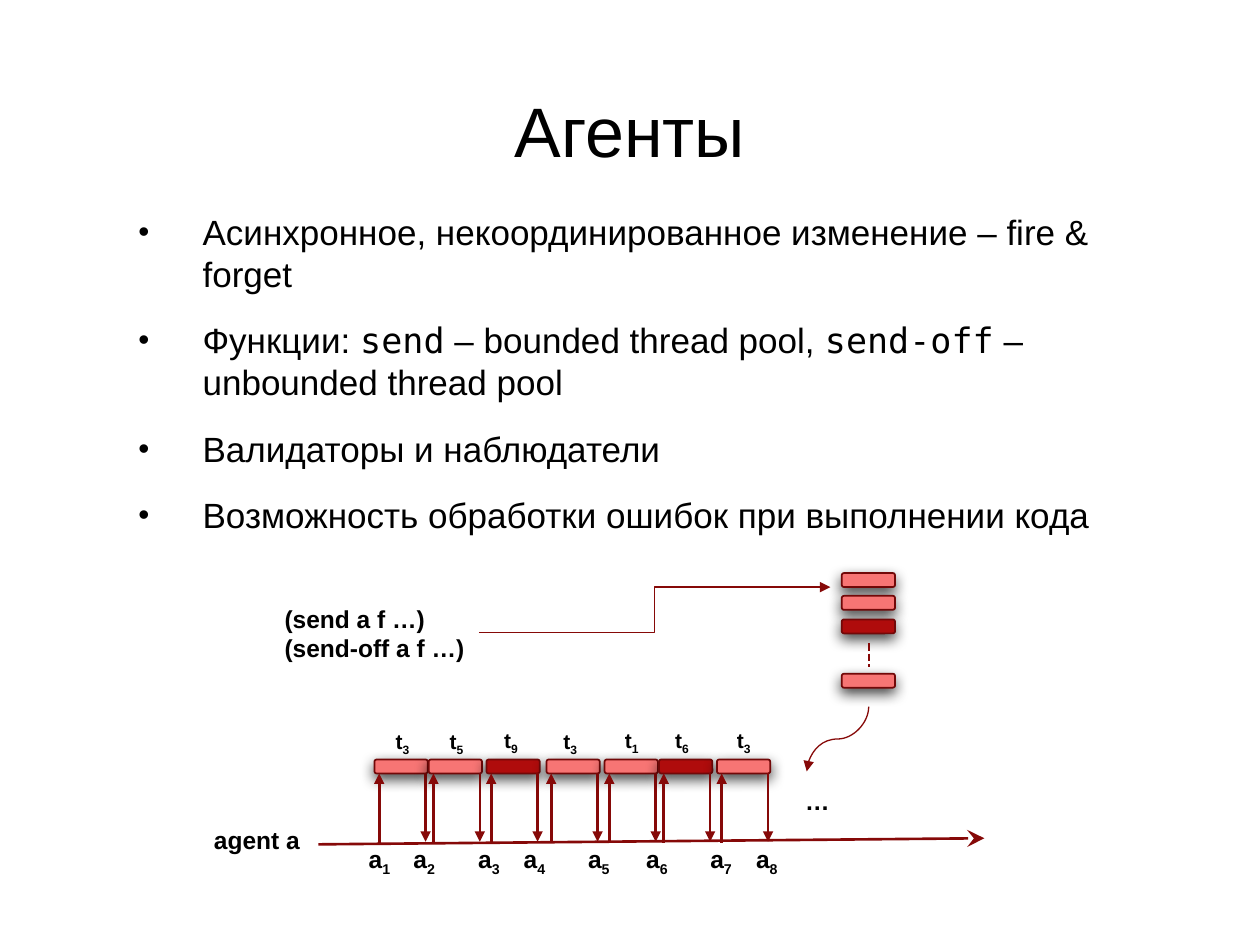
"""Build the slide on agents: bullets above a diagram of a queue and a timeline."""
from typing import NamedTuple

from lxml import etree
from pptx import Presentation
from pptx.dml.color import RGBColor
from pptx.enum.dml import MSO_LINE
from pptx.enum.shapes import MSO_CONNECTOR, MSO_SHAPE
from pptx.enum.text import MSO_ANCHOR, MSO_AUTO_SIZE, PP_ALIGN
from pptx.oxml.ns import qn
from pptx.util import Pt

BLACK = RGBColor(0x00, 0x00, 0x00)
PINK = RGBColor(0xF7, 0x75, 0x74)
RED = RGBColor(0xAF, 0x0C, 0x0C)
EDGE = RGBColor(0x72, 0x08, 0x08)
ARROW = RGBColor(0x86, 0x09, 0x08)
STRAIGHT, ELBOW, CURVE = MSO_CONNECTOR.STRAIGHT, MSO_CONNECTOR.ELBOW, MSO_CONNECTOR.CURVE
ROUNDED = MSO_SHAPE.ROUNDED_RECTANGLE
DASH = MSO_LINE.SQUARE_DOT
TOP, MIDDLE = MSO_ANCHOR.TOP, MSO_ANCHOR.MIDDLE
CENTER = PP_ALIGN.CENTER
GROW = MSO_AUTO_SIZE.SHAPE_TO_FIT_TEXT
SANS, MONO = "Arial", "DejaVu Sans Mono"
CHIP_W, CHIP_H = 30.5, 8
TASK_Y = 434


class Task(NamedTuple):
    x: float
    color: RGBColor
    thread: str
    label_x: float
    label_y: float


class State(NamedTuple):
    number: str
    x: float


class Chip(NamedTuple):
    y: float
    color: RGBColor


TASKS = [
    Task(214, PINK, "3", 219, 412.5),
    Task(245, PINK, "5", 249.8, 412.5),
    Task(278, RED, "9", 281, 412),
    Task(312.3, PINK, "3", 314.8, 412.5),
    Task(345.5, PINK, "1", 350, 412),
    Task(376.6, RED, "6", 378.7, 412),
    Task(409.7, PINK, "3", 414, 412),
]
STATES = [
    State("1", 203.6), State("2", 229.2), State("3", 266.2), State("4", 292.2),
    State("5", 329), State("6", 362.2), State("7", 398.8), State("8", 425),
]
QUEUE = [Chip(327.5, PINK), Chip(340.5, PINK), Chip(354, RED), Chip(385, PINK)]
BULLETS = [
    [("Асинхронное, некоординированное изменение – fire & forget", SANS)],
    [("Функции: ", SANS), ("send", MONO), (" – bounded thread pool, ", SANS),
     ("send-off", MONO), (" – unbounded thread pool", SANS)],
    [("Валидаторы и наблюдатели", SANS)],
    [("Возможность обработки ошибок при выполнении кода", SANS)],
]


def style_run(r, size: float, font: str = SANS, bold: bool = False) -> None:
    """Set the font of a run."""
    r.font.name, r.font.size, r.font.bold = font, Pt(size), bold
    r.font.color.rgb = BLACK


def add_box(s, x: float, y: float, w: float, h: float, anchor=TOP):
    """Add a wrapping text box and return its text frame."""
    tf = s.shapes.add_textbox(Pt(x), Pt(y), Pt(w), Pt(h)).text_frame
    tf.word_wrap, tf.vertical_anchor = True, anchor
    return tf


def add_label(s, text: str, x: float, y: float, w: float, h: float,
              size: float = 14, sub: str = "") -> None:
    """Add a bold label with an optional subscript."""
    tf = add_box(s, x, y, w, h)
    tf.word_wrap, tf.auto_size = False, GROW
    tf.text = text
    if sub:
        r = tf.paragraphs[0].add_run()
        r.text = sub
        r.font._element.set("baseline", "-25000")
    for p in tf.paragraphs:
        for r in p.runs:
            style_run(r, size, bold=True)


def add_bullets(s) -> None:
    """Add the bulleted list."""
    tf = add_box(s, 72, 116.6, 576, 200)
    for i, parts in enumerate(BULLETS):
        p = tf.paragraphs[0] if i == 0 else tf.add_paragraph()
        p.space_before = Pt(14)
        pPr = p._p.get_or_add_pPr()
        pPr.set("marL", str(Pt(36.7)))
        pPr.set("indent", str(-Pt(36.7)))
        etree.SubElement(pPr, qn("a:buSzPct"), val="90000")
        etree.SubElement(pPr, qn("a:buFont"), typeface=SANS)
        etree.SubElement(pPr, qn("a:buChar"), char="•")
        for text, font in parts:
            r = p.add_run()
            r.text = text
            style_run(r, 20, font)


def add_chip(s, x: float, y: float, color: RGBColor) -> None:
    """Add a rounded bar with a soft shadow below it."""
    sp = s.shapes.add_shape(ROUNDED, Pt(x), Pt(y), Pt(CHIP_W), Pt(CHIP_H))
    sp.fill.solid()
    sp.fill.fore_color.rgb = color
    sp.line.color.rgb, sp.line.width = EDGE, Pt(1)
    sp.shadow.inherit = False
    effects = sp._element.spPr.find(qn("a:effectLst"))
    shadow = etree.SubElement(effects, qn("a:outerShdw"), blurRad=str(Pt(8)),
                              dist=str(Pt(3)), dir="5400000", rotWithShape="0")
    tint = etree.SubElement(shadow, qn("a:srgbClr"), val=str(BLACK))
    etree.SubElement(tint, qn("a:alpha"), val="75000")


def add_line(s, x1: float, y1: float, x2: float, y2: float, kind=STRAIGHT,
             width: float = 1.5, head: str = "triangle", size: str = "med"):
    """Add a connector, with an arrowhead at its end unless head is empty."""
    c = s.shapes.add_connector(kind, Pt(x1), Pt(y1), Pt(x2), Pt(y2))
    c.line.color.rgb, c.line.width = ARROW, Pt(width)
    if head:
        etree.SubElement(c.line._get_or_add_ln(), qn("a:tailEnd"),
                         type=head, w=size, len=size)
    etree.SubElement(c._element.spPr, qn("a:effectLst"))
    return c


def add_timeline(s) -> None:
    """Add the time axis with its tasks and agent states."""
    add_line(s, 182, 482.5, 562.5, 479, head="stealth", size="lg")
    add_label(s, "agent a", 115.2, 468, 64, 24.5)
    bottom = TASK_Y + CHIP_H
    for t in TASKS:
        add_chip(s, t.x, TASK_Y, t.color)
        add_line(s, t.x + 2.7, 481.5, t.x + 2.7, bottom)
        add_line(s, t.x + 29.2, bottom, t.x + 29.2, 481)
        add_label(s, "t", t.label_x, t.label_y, 24, 21.6, 12, t.thread)
    for state in STATES:
        add_label(s, "a", state.x, 478.5, 27.5, 24.5, sub=state.number)
    add_label(s, "…", 453, 445.5, 29, 24.5)


def add_queue(s) -> None:
    """Add the calls, the queue they enter and the arrow to the timeline."""
    add_label(s, "(send a f …)\n(send-off a f …)", 155.5, 341.5, 118, 41)
    for chip in QUEUE:
        add_chip(s, 481, chip.y, chip.color)
    c = add_line(s, 496.5, 367.5, 496.5, 381, head="")
    c.line.dash_style = DASH
    add_line(s, 273.6, 361.5, 474.5, 335.5, ELBOW, 1)
    c = add_line(s, 460.2, 404.6, 497.2, 440, CURVE, 0.75)
    c._element.spPr.find(qn("a:xfrm")).set("rot", "5400000")


def main() -> None:
    """Build and save the slide."""
    prs = Presentation()
    prs.slide_width, prs.slide_height = Pt(720), Pt(540)
    s = prs.slides.add_slide(prs.slide_layouts[6])
    tf = add_box(s, 72, 39.6, 576, 68.4, MIDDLE)
    tf.text = "Агенты"
    p = tf.paragraphs[0]
    p.alignment = CENTER
    style_run(p.runs[0], 40)
    add_bullets(s)
    add_timeline(s)
    add_queue(s)
    prs.save("out.pptx")


if __name__ == "__main__":
    main()
